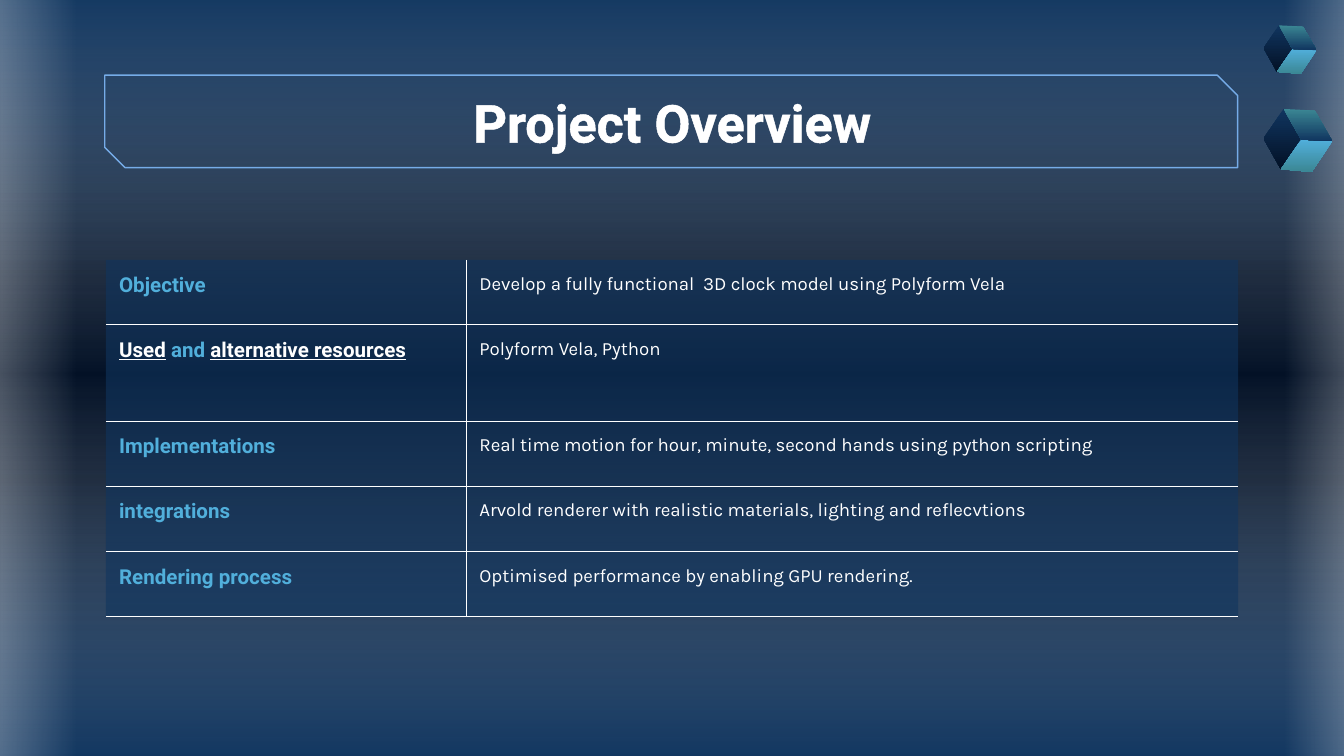
from lxml.etree import SubElement
from pptx import Presentation
from pptx.dml.color import RGBColor
from pptx.enum.shapes import MSO_SHAPE as Preset
from pptx.enum.text import MSO_ANCHOR as Anchor, PP_ALIGN as Align
from pptx.oxml.ns import qn
from pptx.util import Cm, Pt

WHITE = RGBColor(0xFF, 0xFF, 0xFF)
NAVY = RGBColor(0x10, 0x35, 0x5F)
MIDNIGHT = RGBColor(0x03, 0x11, 0x26)
SKY = RGBColor(0x51, 0xAF, 0xDB)
TEAL = RGBColor(0x3B, 0x87, 0x94)
FRAME_BLUE = RGBColor(0x76, 0xAC, 0xE8)

# Content: label runs as (text, is_underlined), then the description
TITLE = "Project Overview"
ROWS = [
    ([("Objective", False)],
     "Develop a fully functional  3D clock model using Polyform Vela"),
    ([("Used", True), (" and ", False), ("alternative resources", True)],
     "Polyform Vela, Python"),
    ([("Implementations", False)],
     "Real time motion for hour, minute, second hands using python scripting"),
    ([("integrations", False)],
     "Arvold renderer with realistic materials, lighting and reflecvtions"),
    ([("Rendering process", False)],
     "Optimised performance by enabling GPU rendering."),
]

# Layout in centimetres
SLIDE_SIZE = (25.4, 14.29)
TITLE_BOX = (2, 1.5, 21.41, 1.6)
FRAME_BOX = (1.98, 1.42, 21.41, 1.75)
TABLE_ORIGIN = (2, 4.91)
COLUMN_WIDTHS = (6.81, 14.59)
ROW_HEIGHTS = (1.23, 1.83, 1.23, 1.23, 1.23)
MARGIN = 0.25
BORDER = Pt(0.75)

# Gradients: stops as (position, colour, opacity), all in percent
BACKGROUND = [(0, NAVY, 100), (37, MIDNIGHT, 100), (63, MIDNIGHT, 100), (100, NAVY, 100)]
GLOW = [(0, WHITE, 47), (100, WHITE, 0)]
VEIL = [(0, NAVY, 59), (50, WHITE, 0), (100, NAVY, 59)]
OVERLAYS = [
    ((0, -0.33, 25.93, 14.76), VEIL, 90),
    ((-1.04, -0.23, 2.49, 14.73), GLOW, 0),
    ((24.28, -0.33, 2.16, 14.73), GLOW, 180),
]

# Cube corners, faces and placements (left, top, scale)
TOP, LEFT, BOTTOM, CENTRE = (0.38, 0), (0, 0.56), (0.33, 1.14), (0.71, 0.58)
RIGHT, LOWER, UPPER = (1.3, 0.61), (0.91, 1.19), (0.97, 0.03)
FACES = [
    ((TOP, LEFT, BOTTOM, CENTRE), NAVY, MIDNIGHT),
    ((CENTRE, RIGHT, LOWER, BOTTOM), SKY, TEAL),
    ((TOP, UPPER, RIGHT, CENTRE), TEAL, NAVY),
]
CUBES = [(23.88, 2.06, 1), (23.88, 0.48, 0.77)]


def lengths(values):
    return [Cm(value) for value in values]


def add_colour(parent, colour, opacity=100):
    node = SubElement(parent, qn("a:srgbClr"), val=str(colour))
    if opacity < 100:
        SubElement(node, qn("a:alpha"), val=str(opacity * 1000))


def set_gradient(fill, element, stops, angle):
    """Swap the solid fill inside element for a gradient."""
    fill.solid()
    fill.fore_color.rgb = stops[0][1]
    solid = element.find(".//" + qn("a:solidFill"))
    gradient = solid.makeelement(qn("a:gradFill"), {"rotWithShape": "1"})
    stop_list = SubElement(gradient, qn("a:gsLst"))
    for position, colour, opacity in stops:
        stop = SubElement(stop_list, qn("a:gs"), pos=str(position * 1000))
        add_colour(stop, colour, opacity)
    SubElement(gradient, qn("a:lin"), ang=str(angle * 60000), scaled="0")
    solid.getparent().replace(solid, gradient)


def add_gradient_look(shape, stops, angle):
    shape.shadow.inherit = False
    set_gradient(shape.fill, shape._element, stops, angle)
    shape.line.fill.background()


def add_run(paragraph, text, colour, **font_format):
    run = paragraph.add_run()
    run.text = text
    run.font.color.rgb = colour
    for name, value in font_format.items():
        setattr(run.font, name, value)
    return run


def format_cell(cell, visible_borders):
    for side in ("left", "right", "top", "bottom"):
        setattr(cell, f"margin_{side}", Cm(MARGIN))
    cell.fill.solid()
    cell.fill.fore_color.rgb = NAVY
    properties = cell._tc.tcPr
    colour = properties.find(".//" + qn("a:srgbClr"))
    SubElement(colour, qn("a:alpha"), val="59000")
    for index, side in enumerate(("lnL", "lnR", "lnT", "lnB")):
        border = properties.makeelement(qn(f"a:{side}"), {"w": str(BORDER)})
        if side in visible_borders:
            add_colour(SubElement(border, qn("a:solidFill")), WHITE)
        else:
            SubElement(border, qn("a:noFill"))
        properties.insert(index, border)


presentation = Presentation()
presentation.slide_width, presentation.slide_height = lengths(SLIDE_SIZE)
slide = presentation.slides.add_slide(presentation.slide_layouts[5])
shapes = slide.shapes

# Background and glowing edges
set_gradient(slide.background.fill, slide._element, BACKGROUND, 90)
for box, stops, angle in OVERLAYS:
    add_gradient_look(shapes.add_shape(Preset.RECTANGLE, *lengths(box)), stops, angle)

# Title and its frame
frame = shapes.add_shape(Preset.SNIP_2_DIAG_RECTANGLE, *lengths(FRAME_BOX))
frame.shadow.inherit = False
frame.adjustments[0], frame.adjustments[1] = 0, 0.22
frame.fill.background()
frame.line.color.rgb, frame.line.width = FRAME_BLUE, BORDER

title = shapes.title
title.left, title.top, title.width, title.height = lengths(TITLE_BOX)
text_frame = title.text_frame
text_format = {"vertical_anchor": Anchor.MIDDLE, "word_wrap": True}
text_format |= {f"margin_{side}": Cm(MARGIN) for side in ("left", "right", "top", "bottom")}
for name, value in text_format.items():
    setattr(text_frame, name, value)
paragraph = text_frame.paragraphs[0]
paragraph.alignment = Align.CENTER
title_run = add_run(paragraph, TITLE, WHITE, name="Roboto", size=Pt(28), bold=True)
outline = title_run.font._element.makeelement(qn("a:ln"), {"w": str(Pt(0.52))})
add_colour(SubElement(outline, qn("a:solidFill")), WHITE)
title_run.font._element.insert(0, outline)
frame._element.addnext(title._element)

# Overview table
table = shapes.add_table(
    len(ROWS), len(COLUMN_WIDTHS), *lengths(TABLE_ORIGIN),
    Cm(sum(COLUMN_WIDTHS)), Cm(sum(ROW_HEIGHTS))).table
table.first_row = table.horz_banding = False
for column, width in zip(table.columns, COLUMN_WIDTHS):
    column.width = Cm(width)
for index, (label, description) in enumerate(ROWS):
    table.rows[index].height = Cm(ROW_HEIGHTS[index])
    label_cell, text_cell = table.cell(index, 0), table.cell(index, 1)
    row_borders = {"lnB"} | ({"lnT"} if index else set())
    format_cell(label_cell, row_borders | {"lnR"})
    format_cell(text_cell, row_borders | {"lnL"})
    for text, underlined in label:
        add_run(label_cell.text_frame.paragraphs[0], text, WHITE if underlined else SKY,
                name="Roboto", size=Pt(11), bold=True, underline=underlined)
    paragraph = text_cell.text_frame.paragraphs[0]
    if index < len(ROWS) - 1:
        paragraph.space_after = Pt(16)
    add_run(paragraph, description, WHITE, name="Karla", size=Pt(10), bold=False)

# Cubes
for left, top, scale in CUBES:
    cube = shapes.add_group_shape()
    for corners, start, end in FACES:
        points = [lengths((left + x * scale, top + y * scale)) for x, y in corners]
        builder = cube.shapes.build_freeform(*points[0])
        builder.add_line_segments(points[1:], close=True)
        add_gradient_look(builder.convert_to_shape(), [(0, start, 100), (100, end, 100)], 90)

presentation.save("out.pptx")
